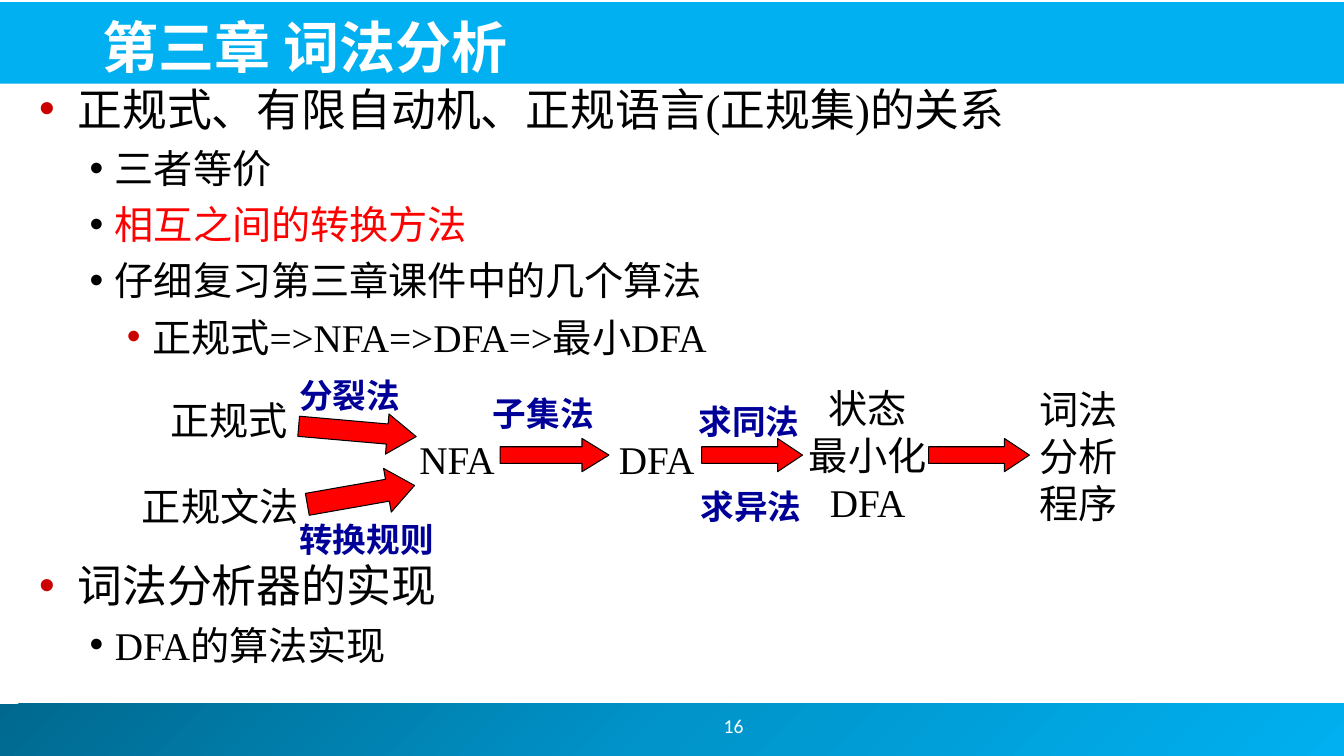
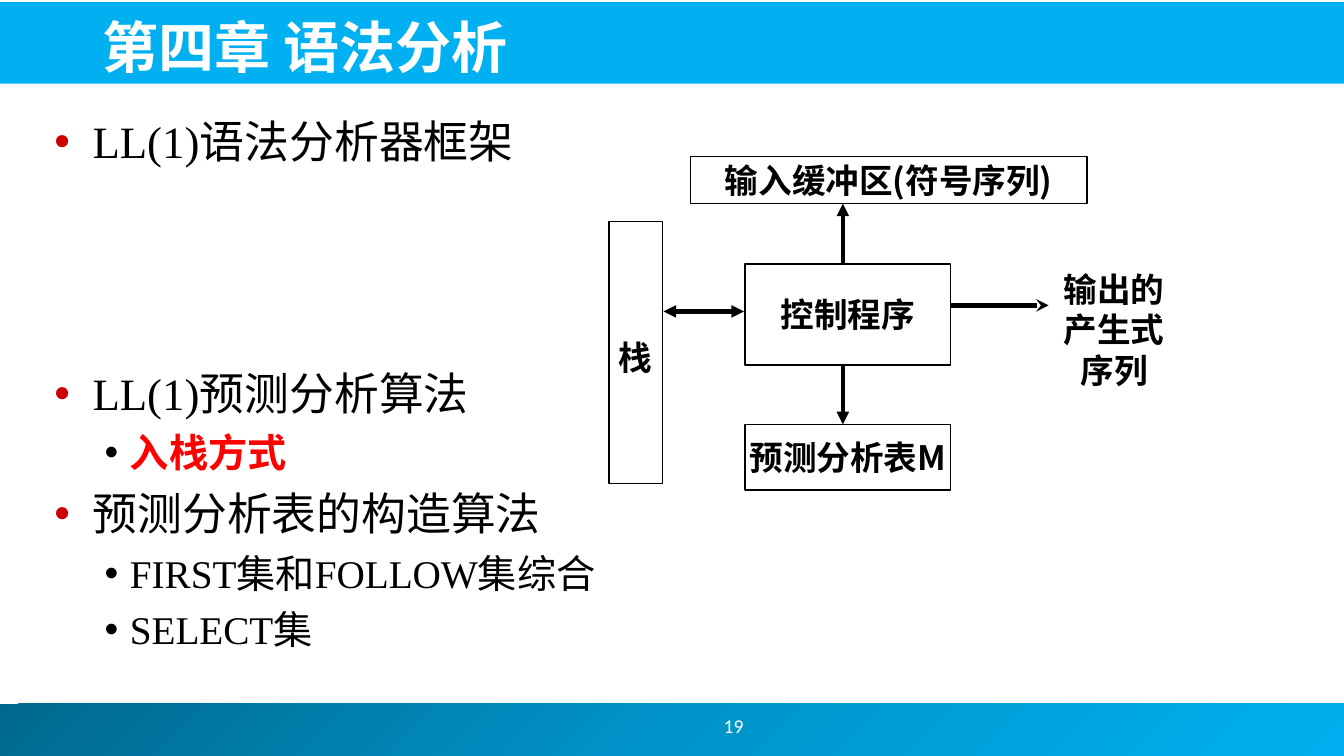
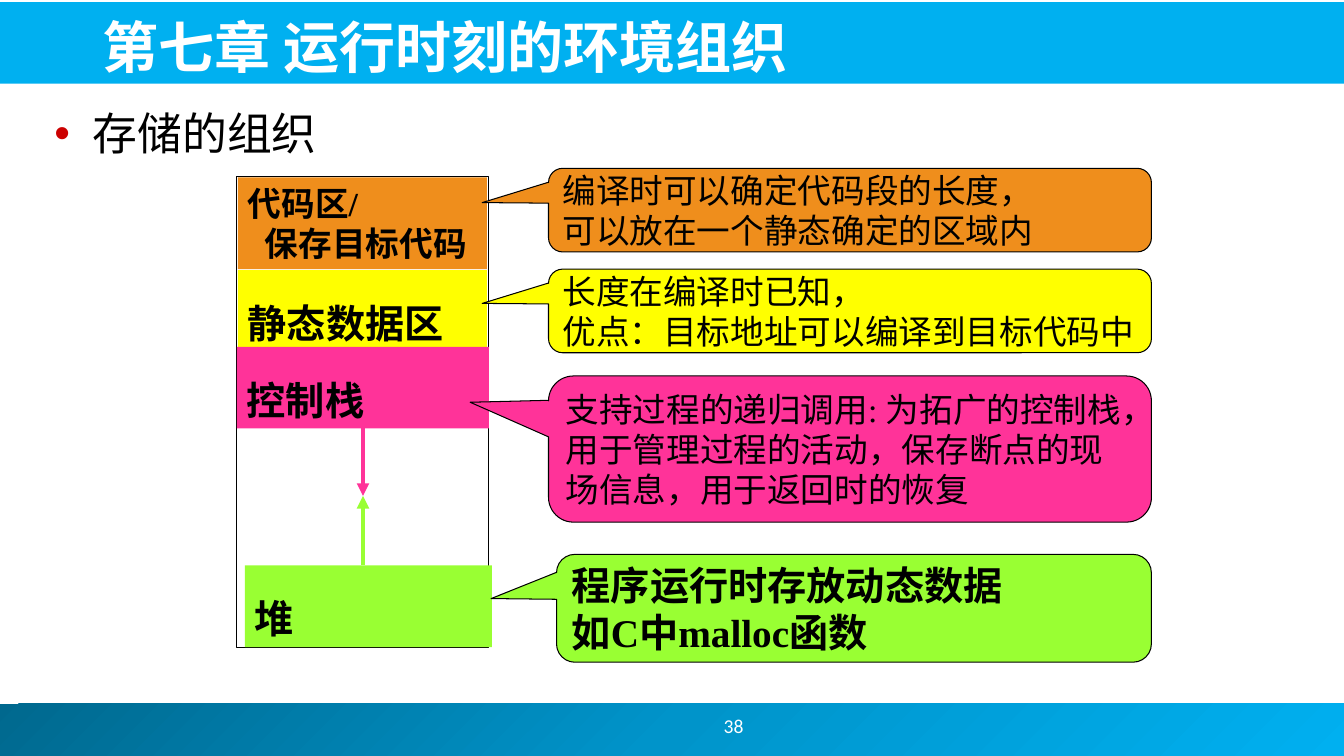
import copy

import pptx
import pptx.dml.color
import pptx.enum.dml
import pptx.enum.shapes
import pptx.enum.text
import pptx.oxml
import pptx.oxml.ns
import pptx.util
from pptx.util import Inches

SHAPE = pptx.enum.shapes.MSO_SHAPE
ALIGN = pptx.enum.text.PP_ALIGN
ANCHOR = pptx.enum.text.MSO_ANCHOR
qn = pptx.oxml.ns.qn

COLORS = {
    "white": "FFFFFF", "black": "000000", "red": "FF0000", "navy": "000099",
    "bullet": "CC0000", "sky": "00B0F0", "deep": "00688E", "mid": "0094CA",
    "orange": "EF8E1C", "yellow": "FFFF00", "pink": "FF3399", "green": "99FF33",
}
SERIF = "Times New Roman"
SANS = "Noto Sans CJK JP"


def rgb(name):
    return pptx.dml.color.RGBColor.from_string(COLORS[name])


def add_xml(parent, tag, **attributes):
    child = parent.makeelement(qn(tag), attributes)
    parent.append(child)
    return child


class Deck:
    LEVELS = [(32, 0.38, 0.38, 7.5, "bullet"),
              (28, 0.75, 0.25, 6.5, "black"),
              (28, 1.12, 0.25, 6.5, "bullet")]

    def __init__(self):
        self.presentation = pptx.Presentation()
        self.presentation.slide_width = Inches(13.33)
        self.presentation.slide_height = Inches(7.5)
        self.layout = self.presentation.slide_layouts[5]
        self.slide = None

    def new_slide(self, title, number):
        first = self.slide is None
        self.slide = self.presentation.slides.add_slide(self.layout)
        if first:
            self.bands()
        heading = self.slide.shapes.title
        heading.left, heading.top = Inches(0.92), Inches(0.05)
        heading.width, heading.height = Inches(11.97), Inches(0.79)
        self.set_text(heading.text_frame, [title], 40, SANS, "white", True,
                      anchor=ANCHOR.BOTTOM, wrap=True)
        self.label((5.83, 6.95, 2.89, 0.5), [str(number)], 14, "Calibri", "white",
                   align=ALIGN.CENTER, anchor=ANCHOR.MIDDLE, wrap=True)

    def bands(self):
        footer = self.shape((-0.05, 6.98, 13.39, 0.52))
        footer.fill.gradient()
        footer.fill.gradient_angle = 315
        stops = footer.element.spPr.find(".//" + qn("a:gsLst"))
        stops.append(copy.deepcopy(stops[-1]))
        names = ["deep", "mid", "sky"]
        for index, stop in enumerate(footer.fill.gradient_stops):
            stop.position = index / 2
            stop.color.rgb = rgb(names[index])
        header = self.shape((-0.02, 0.02, 13.36, 0.81), "sky")
        for band in (footer, header):
            self.layout.shapes.element.append(band.element)

    def add_run(self, paragraph, text, size, font, color, bold):
        run = paragraph.add_run()
        run.text = text
        run.font.size = pptx.util.Pt(size)
        run.font.name = font
        run.font.bold = bold
        run.font.color.rgb = rgb(color)

    def set_text(self, frame, lines, size, font=SERIF, color="black", bold=False,
                 align=ALIGN.LEFT, anchor=ANCHOR.TOP, wrap=False, spacing=None):
        frame.word_wrap = wrap
        frame.auto_size = pptx.enum.text.MSO_AUTO_SIZE.NONE
        frame.vertical_anchor = anchor
        for index, line in enumerate(lines):
            paragraph = frame.paragraphs[0] if index == 0 else frame.add_paragraph()
            paragraph.alignment = align
            if spacing:
                paragraph.line_spacing = spacing
            self.add_run(paragraph, line, size, font, color, bold)

    def label(self, box, lines, size, *style, **layout):
        holder = self.slide.shapes.add_textbox(*map(Inches, box))
        self.set_text(holder.text_frame, lines, size, *style, **layout)

    def shape(self, box, fill=None, line=None, kind=SHAPE.RECTANGLE, adjust=(), turn=0):
        shape = self.slide.shapes.add_shape(kind, *map(Inches, box))
        shape.shadow.inherit = False
        shape.rotation = turn
        for index, value in enumerate(adjust):
            shape.adjustments[index] = value
        if fill:
            shape.fill.solid()
            shape.fill.fore_color.rgb = rgb(fill)
        else:
            shape.fill.background()
        if line:
            shape.line.color.rgb = rgb("black")
            shape.line.width = pptx.util.Pt(line)
        else:
            shape.line.fill.background()
        return shape

    def block_arrow(self, box, head, turn=0):
        self.shape(box, "red", 0.75, SHAPE.RIGHT_ARROW, (0.5, head), turn)

    def arrow(self, start, end, color="black", tail="triangle", head=None):
        arrow = self.slide.shapes.add_connector(
            pptx.enum.shapes.MSO_CONNECTOR.STRAIGHT, *map(Inches, start + end))
        arrow.line.color.rgb = rgb(color)
        arrow.line.width = pptx.util.Pt(3)
        outline = arrow.element.spPr.find(qn("a:ln"))
        if head:
            add_xml(outline, "a:headEnd", type=head)
        add_xml(outline, "a:tailEnd", type=tail)
        add_xml(arrow.element.spPr, "a:effectLst")

    def bullets(self, box, items):
        frame = self.slide.shapes.add_textbox(*map(Inches, box)).text_frame
        frame.word_wrap = True
        for index, (level, text, color, bold, gap) in enumerate(items):
            size, margin, hang, before, mark = self.LEVELS[level]
            paragraph = frame.paragraphs[0] if index == 0 else frame.add_paragraph()
            paragraph.level = level
            paragraph.space_before = pptx.util.Pt(before + gap if index else 0)
            properties = paragraph._p.get_or_add_pPr()
            properties.set("marL", str(Inches(margin)))
            properties.set("indent", str(-Inches(hang)))
            tint = add_xml(properties, "a:buClr")
            add_xml(tint, "a:srgbClr", val=COLORS[mark])
            add_xml(properties, "a:buFont", typeface="Arial")
            add_xml(properties, "a:buChar", char="•")
            self.add_run(paragraph, text, size, SERIF, color, bold)


def item(level, text, color="black", bold=False, gap=0):
    return level, text, color, bold, gap


DIAGRAM_GAP = 134


def lexical_analysis(deck):
    deck.new_slide("第三章 词法分析", 16)
    deck.bullets((0.29, 0.76, 12.44, 6.3), [
        item(0, "正规式、有限自动机、正规语言(正规集)的关系"),
        item(1, "三者等价"),
        item(1, "相互之间的转换方法", "red"),
        item(1, "仔细复习第三章课件中的几个算法"),
        item(2, "正规式=>NFA=>DFA=>最小DFA"),
        item(0, "词法分析器的实现", gap=DIAGRAM_GAP),
        item(1, "DFA的算法实现"),
    ])
    deck.block_arrow((2.96, 4.08, 1.17, 0.4), 0.72, 5)
    deck.block_arrow((3.04, 4.69, 1.08, 0.44), 0.62, 350)
    for left, width, head in [(4.96, 1.08, 0.81), (6.96, 1, 0.75), (9.21, 1, 0.75)]:
        deck.block_arrow((left, 4.35, width, 0.33), head)
    for left, top, width, stage in [
        (1.59, 3.88, 1.37, "正规式"), (1.31, 4.74, 1.76, "正规文法"),
        (4.06, 4.27, 0.98, "NFA"), (6.04, 4.27, 0.98, "DFA"),
    ]:
        deck.label((left, top, width, 0.57), [stage], 28)
    deck.label((7.92, 3.76, 1.37, 1.5), ["状态", "最小化", "DFA"], 28, align=ALIGN.CENTER)
    deck.label((10.21, 3.77, 1, 1.5), ["词法", "分析", "程序"], 28, wrap=True)
    for left, top, width, method in [
        (2.87, 3.67, 1.2, "分裂法"), (2.87, 5.1, 1.53, "转换规则"),
        (4.79, 3.85, 1.2, "子集法"), (6.83, 3.93, 1.2, "求同法"),
        (6.85, 4.77, 1.2, "求异法"),
    ]:
        deck.label((left, top, width, 0.5), [method], 24, SERIF, "navy", True)


def syntax_analysis(deck):
    deck.new_slide("第四章 语法分析", 19)
    deck.bullets((0.44, 1.08, 12.44, 5.66), [
        item(0, "LL(1)语法分析器框架"),
        item(0, "LL(1)预测分析算法", gap=DIAGRAM_GAP),
        item(1, "入栈方式", "red", True),
        item(0, "预测分析表的构造算法"),
        item(1, "FIRST集和FOLLOW集综合"),
        item(1, "SELECT集"),
    ])
    for box, part, spacing in [
        ((6.85, 1.55, 3.93, 0.47), "输入缓冲区(符号序列)", None),
        ((6.04, 2.2, 0.53, 2.6), "栈", 1.2),
        ((7.39, 2.62, 2.04, 1), "控制程序", None),
        ((7.39, 4.21, 2.04, 0.65), "预测分析表M", None),
    ]:
        deck.set_text(deck.shape(box, line=1).text_frame, [part], 24, SANS, bold=True,
                      align=ALIGN.CENTER, anchor=ANCHOR.MIDDLE, spacing=spacing)
    deck.arrow((8.36, 2.61), (8.36, 2.02))
    deck.arrow((7.38, 3.09), (6.58, 3.09), head="triangle")
    deck.arrow((8.36, 3.62), (8.36, 4.21))
    deck.arrow((9.43, 3.03), (10.4, 3.03), tail="stealth")
    deck.label((10.3, 2.62, 1.5, 1.31), ["输出的", "产生式序列"], 24, SANS, bold=True,
               align=ALIGN.CENTER, wrap=True)


def runtime_environment(deck):
    deck.new_slide("第七章 运行时刻的环境组织", 38)
    deck.bullets((0.44, 1, 12.44, 0.86), [item(0, "存储的组织")])
    deck.shape((2.35, 1.75, 2.5, 4.67), line=0.75)
    code = deck.shape((2.36, 1.76, 2.47, 0.91), "orange").text_frame
    deck.set_text(code, ["代码区/", "保存目标代码"], 24, bold=True,
                  anchor=ANCHOR.MIDDLE, wrap=True)
    code.paragraphs[1]._p.get_or_add_pPr().set("marL", str(Inches(0.17)))
    for left, top, width, color, area in [
        (2.36, 2.68, 2.47, "yellow", "静态数据区"),
        (2.35, 3.44, 2.5, "pink", "控制栈"),
        (2.43, 5.61, 2.45, "green", "堆"),
    ]:
        deck.set_text(deck.shape((left, top, width, 0.81), color).text_frame, [area], 28,
                      bold=True, anchor=ANCHOR.MIDDLE, wrap=True, spacing=1.5)
    deck.arrow((3.6, 4.17), (3.6, 4.92), "pink")
    deck.arrow((3.6, 5.61), (3.6, 4.92), "green")
    for box, tip, color, size, wrap, lines in [
        ((5.44, 1.67, 5.98, 0.83), (-0.61, -0.09), "orange", 24, False,
         ["编译时可以确定代码段的长度，", "可以放在一个静态确定的区域内"]),
        ((5.44, 2.67, 5.98, 0.83), (-0.61, -0.09), "yellow", 24, False,
         ["长度在编译时已知，", "优点：目标地址可以编译到目标代码中"]),
        ((5.44, 3.73, 5.98, 1.45), (-0.63, -0.32), "pink", 24, True,
         ["支持过程的递归调用: 为拓广的控制栈，用于管理过程的活动，"
          "保存断点的现场信息，用于返回时的恢复"]),
        ((5.52, 5.5, 5.9, 1.07), (-0.61, -0.09), "green", 28, False,
         ["程序运行时存放动态数据", "如C中malloc函数"]),
    ]:
        callout = deck.shape(box, color, 0.75, SHAPE.ROUNDED_RECTANGULAR_CALLOUT, tip + (0.17,))
        deck.set_text(callout.text_frame, lines, size, bold=size == 28,
                      anchor=ANCHOR.MIDDLE, wrap=wrap)


def main():
    deck = Deck()
    lexical_analysis(deck)
    syntax_analysis(deck)
    runtime_environment(deck)
    deck.presentation.save("out.pptx")


if __name__ == "__main__":
    main()
